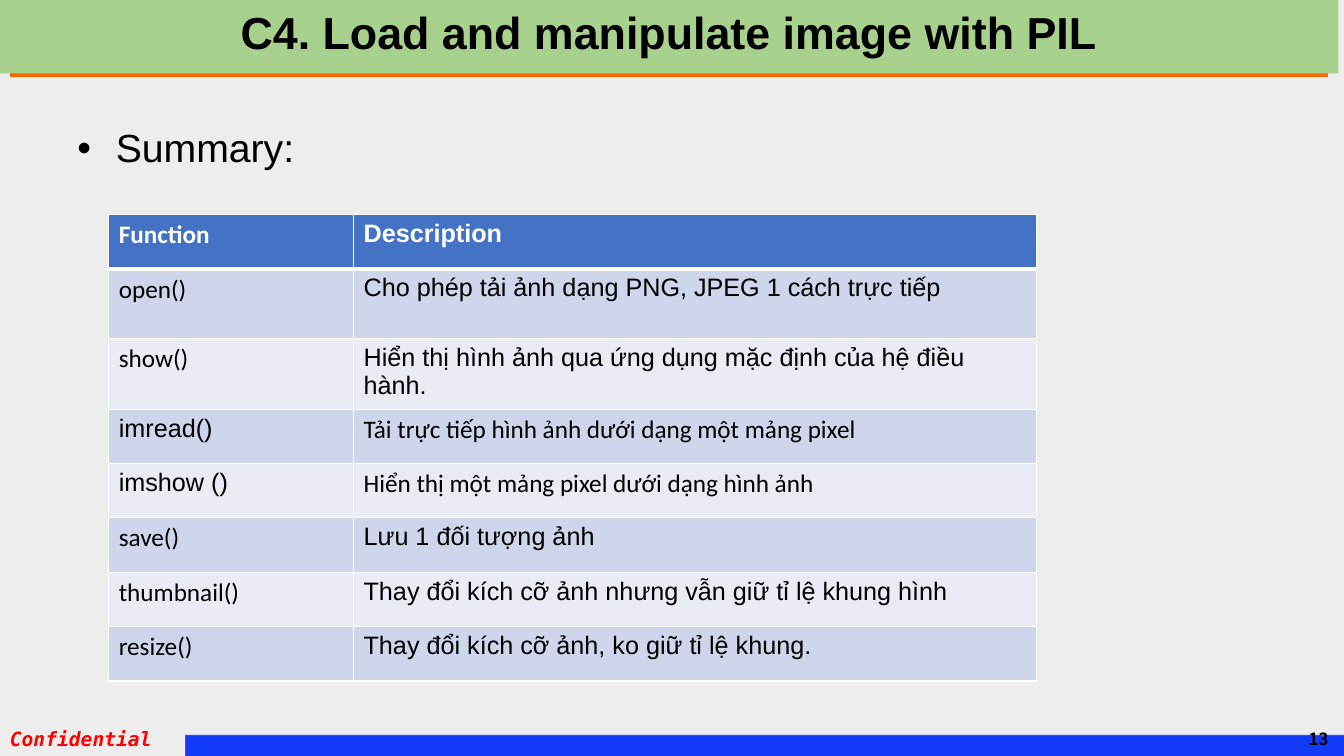
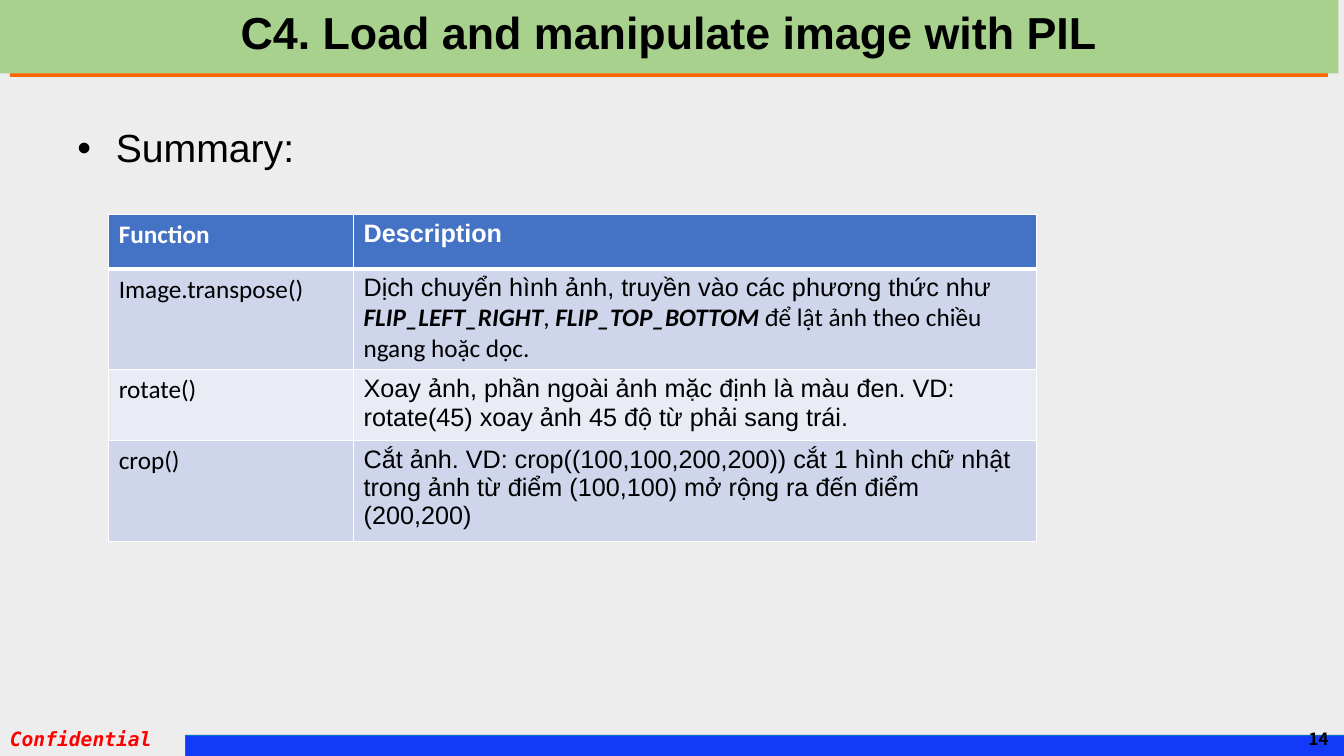
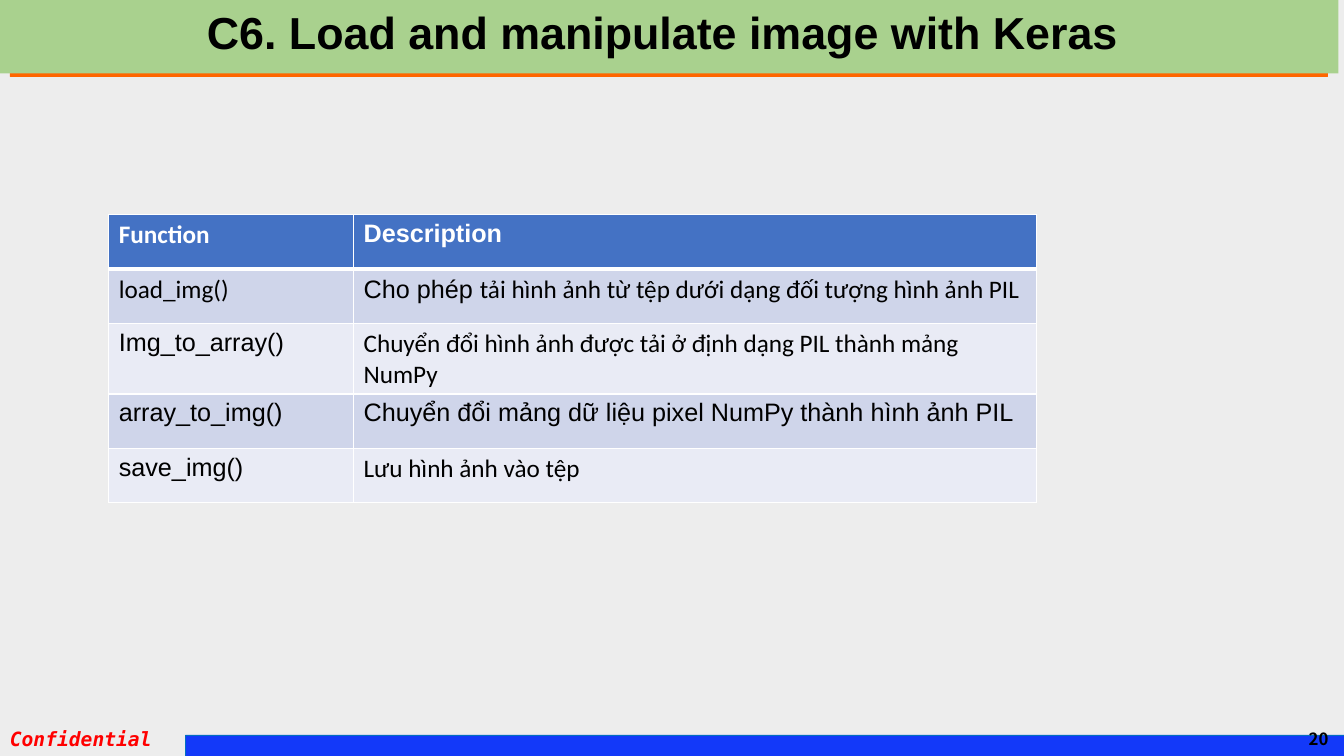
from dataclasses import dataclass

from lxml import etree
from pptx import Presentation
from pptx.dml.color import RGBColor
from pptx.enum.shapes import MSO_SHAPE
from pptx.enum.text import MSO_ANCHOR, PP_ALIGN
from pptx.oxml.ns import qn
from pptx.util import Cm, Pt

RECTANGLE = MSO_SHAPE.RECTANGLE
TOP, MIDDLE = MSO_ANCHOR.TOP, MSO_ANCHOR.MIDDLE
LEFT, CENTER, RIGHT = PP_ALIGN.LEFT, PP_ALIGN.CENTER, PP_ALIGN.RIGHT


@dataclass(frozen=True)
class Theme:
    # Colours
    background: str = "EDEDED"
    title_band: str = "A9D18E"
    rule: str = "FF6600"
    footer_band: str = "1339F9"
    footer_line: str = "0070C0"
    confidential: str = "FF0000"
    text: str = "000000"
    light: str = "FFFFFF"
    table_header: str = "4472C4"
    table_bands: tuple = ("CFD5EA", "E9EBF5")
    # Fonts
    main_font: str = "Arial"
    table_font: str = "Calibri"
    mono_font: str = "DejaVu Sans Mono"
    number_font: str = "Noto Sans CJK KR"
    # Type sizes
    title_size: int = 32
    body_size: int = 28
    table_size: int = 18
    confidential_size: int = 14
    number_size: int = 12


THEME = Theme()


@dataclass(frozen=True)
class Span:
    text: str
    font: str
    strong: bool = False


def arial(text):
    return Span(text, THEME.main_font)


def calibri(text, strong=False):
    return Span(text, THEME.table_font, strong)


def rgb(colour):
    return RGBColor.from_string(colour)


class SlideBuilder:
    """Holds the theme and the slide being built."""

    def __init__(self, deck, theme):
        self.deck = deck
        self.theme = theme
        self.slide = None
        background = deck.slide_master.background.fill
        background.solid()
        background.fore_color.rgb = rgb(theme.background)

    def new_slide(self, title, number):
        theme = self.theme
        self.slide = self.deck.slides.add_slide(self.deck.slide_layouts[6])
        # Footer band and mark
        self.band((4.67, 18.52, 29.21, 0.53), theme.footer_band, theme.footer_line)
        mark = self.text((0, 18.19, 4.93, 0.86), "Confidential", theme.mono_font,
                         theme.confidential_size, theme.confidential, bold=True)
        mark.font.italic = True
        # Title over its rule
        self.band((0.25, 1.73, 33.2, 0.2), theme.rule, theme.rule)
        title_box = self.band((0, -0.08, 33.73, 1.93), theme.title_band)
        heading = self.set_text(title_box, title, theme.main_font, theme.title_size,
                                theme.text, bold=True, align=CENTER, anchor=MIDDLE)
        heading.line_spacing = 0.9
        # Page number
        self.text((25.83, 18.11, 7.9, 1.02), str(number), theme.number_font,
                  theme.number_size, theme.text, bold=True, align=RIGHT, anchor=MIDDLE)

    def band(self, place, fill, line=None):
        shape = self.slide.shapes.add_shape(RECTANGLE, *map(Cm, place))
        shape.shadow.inherit = False
        shape.fill.solid()
        shape.fill.fore_color.rgb = rgb(fill)
        if line:
            shape.line.color.rgb = rgb(line)
            shape.line.width = Pt(0.25)
        else:
            shape.line.fill.background()
        return shape

    def text(self, place, *content, **options):
        box = self.slide.shapes.add_textbox(*map(Cm, place))
        return self.set_text(box, *content, **options)

    def set_text(self, box, text, font, size, colour, bold=False, align=LEFT, anchor=TOP):
        frame = box.text_frame
        frame.word_wrap = True
        frame.vertical_anchor = anchor
        para = frame.paragraphs[0]
        para.text = text
        para.alignment = align
        self.style(para, size, colour, bold)
        para.font.name = font
        return para

    def style(self, para, size, colour, bold):
        para.font.size = Pt(size)
        para.font.color.rgb = rgb(colour)
        para.font.bold = bold

    def bullet(self, text):
        para = self.text((1.7, 3.12, 30.48, 13.89), text, self.theme.main_font,
                         self.theme.body_size, self.theme.text)
        para.line_spacing = 0.9
        para.space_before = Pt(10)
        # Hanging indent and bullet, placed ahead of the default run style
        properties = para._p.get_or_add_pPr()
        properties.set("marL", str(Cm(0.97)))
        properties.set("indent", str(Cm(-0.97)))
        font = etree.Element(qn("a:buFont"), typeface=self.theme.main_font)
        sign = etree.Element(qn("a:buChar"), char="•")
        default_style = properties.find(qn("a:defRPr"))
        default_style.addprevious(font)
        default_style.addprevious(sign)

    def table(self, entries, tall_rows=()):
        theme = self.theme
        rows = [([calibri("Function")], [arial("Description")]), *entries]
        widths = (6.17, 17.22)
        heights = [1.75 if row in tall_rows else 1.37 for row in range(len(rows))]
        grid = self.slide.shapes.add_table(
            len(rows), len(widths), Cm(2.74), Cm(5.41),
            Cm(sum(widths)), Cm(sum(heights))).table
        for column, width in zip(grid.columns, widths):
            column.width = Cm(width)
        for index, (row, height) in enumerate(zip(rows, heights)):
            grid.rows[index].height = Cm(height)
            header = index == 0
            fill = theme.table_header if header else theme.table_bands[(index - 1) % 2]
            for column, spans in enumerate(row):
                cell = grid.cell(index, column)
                self.borders(cell, top=3 if index == 1 else 1, bottom=3 if header else 1)
                cell.fill.solid()
                cell.fill.fore_color.rgb = rgb(fill)
                self.fill_cell(cell, spans, theme.light if header else theme.text, header)

    def fill_cell(self, cell, spans, colour, bold):
        para = cell.text_frame.paragraphs[0]
        self.style(para, self.theme.table_size, colour, bold)
        for span in spans:
            run = para.add_run()
            run.text = span.text
            run.font.name = span.font
            run.font.size = Pt(self.theme.table_size)
            run.font.bold = bold or span.strong
            run.font.italic = span.strong

    def borders(self, cell, top, bottom):
        properties = cell._tc.get_or_add_tcPr()
        for side, width in (("L", 1), ("R", 1), ("T", top), ("B", bottom)):
            line = etree.SubElement(properties, qn(f"a:ln{side}"), w=str(Pt(width)))
            fill = etree.SubElement(line, qn("a:solidFill"))
            etree.SubElement(fill, qn("a:srgbClr"), val=self.theme.light)


# Table content: spans of the function cell, spans of the description cell
PIL_BASICS = [
    ([calibri("open()")], [arial("Cho phép tải ảnh dạng PNG, JPEG 1 cách trực tiếp")]),
    ([calibri("show()")],
     [arial("Hiển thị hình ảnh qua ứng dụng mặc định của hệ điều hành.")]),
    ([arial("imread()")], [calibri("Tải trực tiếp hình ảnh dưới dạng một mảng pixel")]),
    ([arial("imshow ()")], [calibri("Hiển thị một mảng pixel dưới dạng hình ảnh")]),
    ([calibri("save()")], [arial("Lưu 1 đối tượng ảnh")]),
    ([calibri("thumbnail()")],
     [arial("Thay đổi kích cỡ ảnh nhưng vẫn giữ tỉ lệ khung hình")]),
    ([calibri("resize()")], [arial("Thay đổi kích cỡ ảnh, ko giữ tỉ lệ khung.")]),
]
PIL_TRANSFORMS = [
    ([calibri("Image.transpose()")],
     [arial("Dịch chuyển hình ảnh, truyền vào các phương thức như "),
      calibri("FLIP_LEFT_RIGHT", strong=True), calibri(", "),
      calibri("FLIP_TOP_BOTTOM ", strong=True),
      calibri("để lật ảnh theo chiều ngang hoặc dọc.")]),
    ([calibri("rotate()")],
     [arial("Xoay ảnh, phần ngoài ảnh mặc định là màu đen. VD: rotate(45) "
            "xoay ảnh 45 độ từ phải sang trái.")]),
    ([calibri("crop()")],
     [arial("Cắt ảnh. VD: crop((100,100,200,200)) cắt 1 hình chữ nhật trong ảnh "
            "từ điểm (100,100) mở rộng ra đến điểm (200,200)")]),
]
KERAS_FUNCTIONS = [
    ([calibri("load_img()")],
     [arial("Cho phép "),
      calibri("tải hình ảnh từ tệp dưới dạng đối tượng hình ảnh PIL")]),
    ([arial("Img_to_array()")],
     [calibri("Chuyển đổi hình ảnh được tải ở định dạng PIL thành mảng NumPy")]),
    ([arial("array_to_img()")],
     [arial("Chuyển đổi mảng dữ liệu pixel NumPy thành hình ảnh PIL")]),
    ([arial("save_img()")], [calibri("Lưu hình ảnh vào tệp")]),
]


def main():
    deck = Presentation()
    deck.slide_width, deck.slide_height = Cm(33.87), Cm(19.05)
    builder = SlideBuilder(deck, THEME)

    # PIL summary
    pil_title = "C4. Load and manipulate image with PIL"
    for number, entries, tall_rows in ((13, PIL_BASICS, (1, 2)), (14, PIL_TRANSFORMS, ())):
        builder.new_slide(pil_title, number)
        builder.bullet("Summary:")
        builder.table(entries, tall_rows)

    # Keras summary
    builder.new_slide("C6. Load and manipulate image with Keras ", 20)
    builder.table(KERAS_FUNCTIONS)

    deck.save("out.pptx")


if __name__ == "__main__":
    main()
